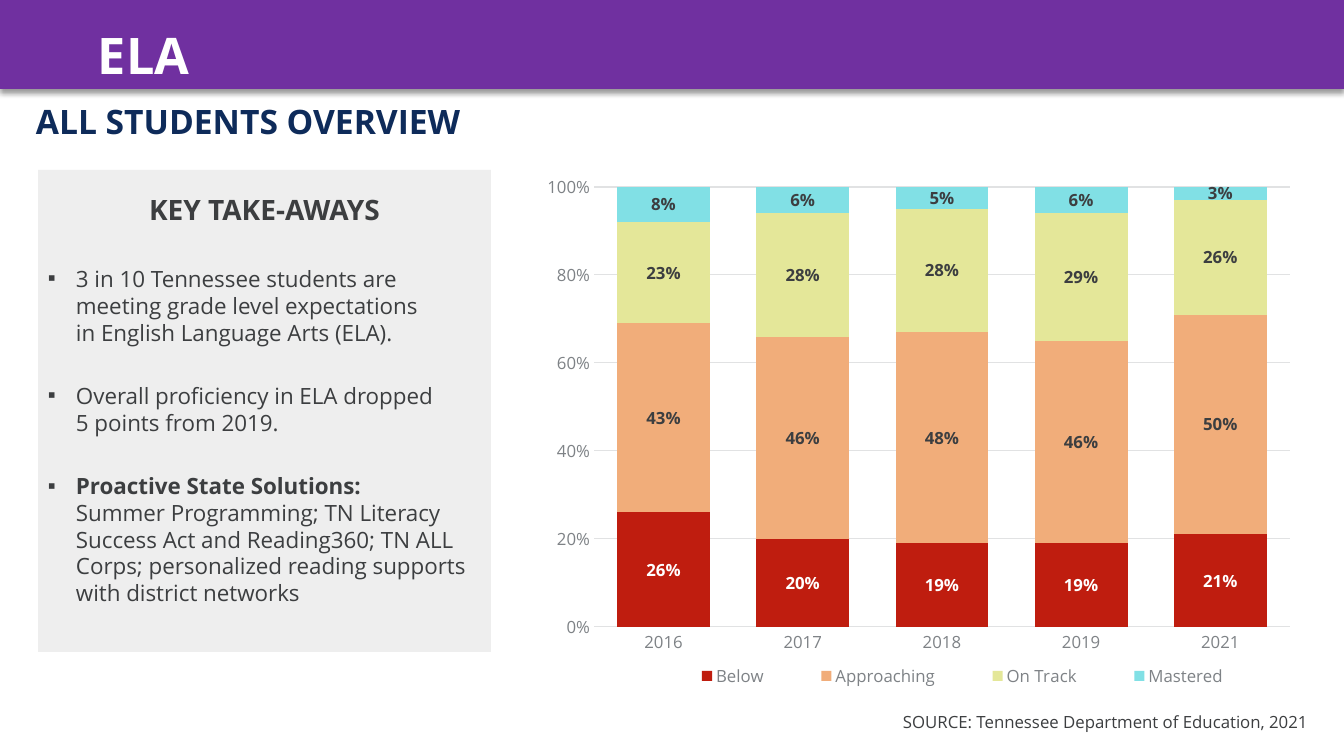
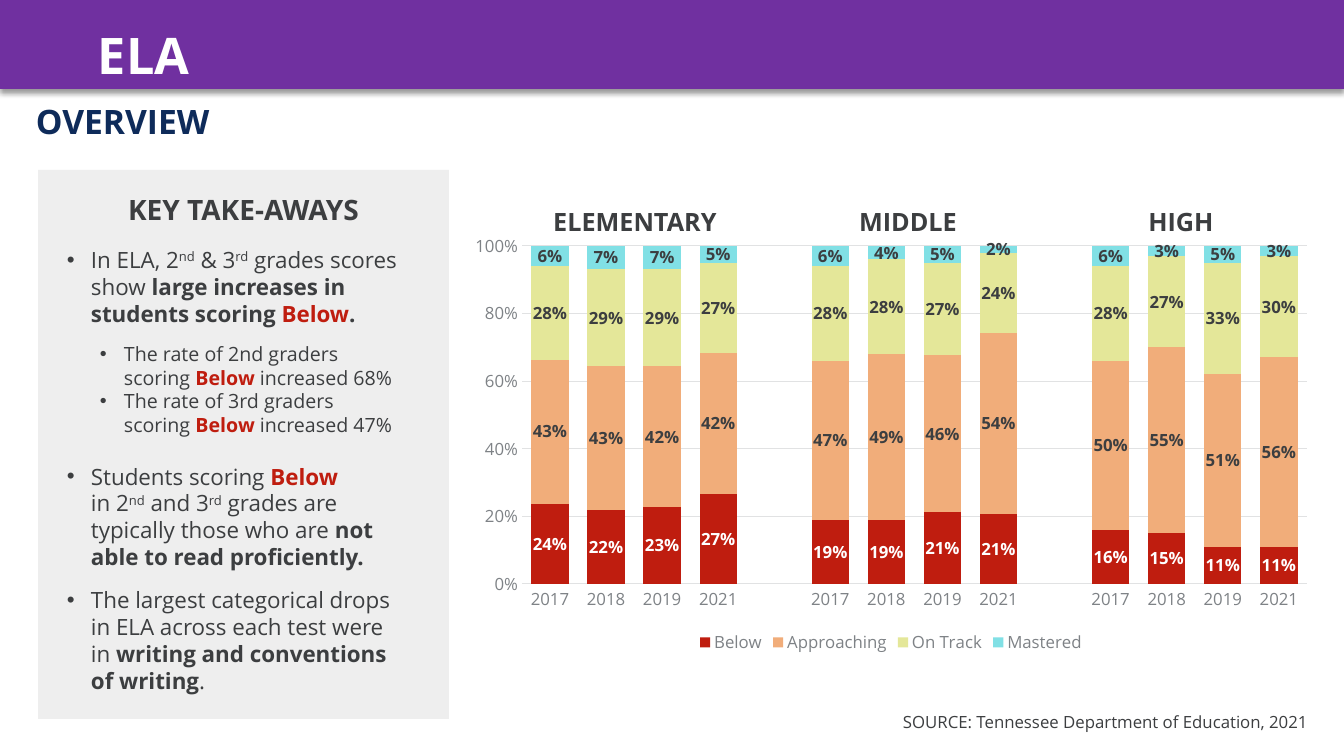
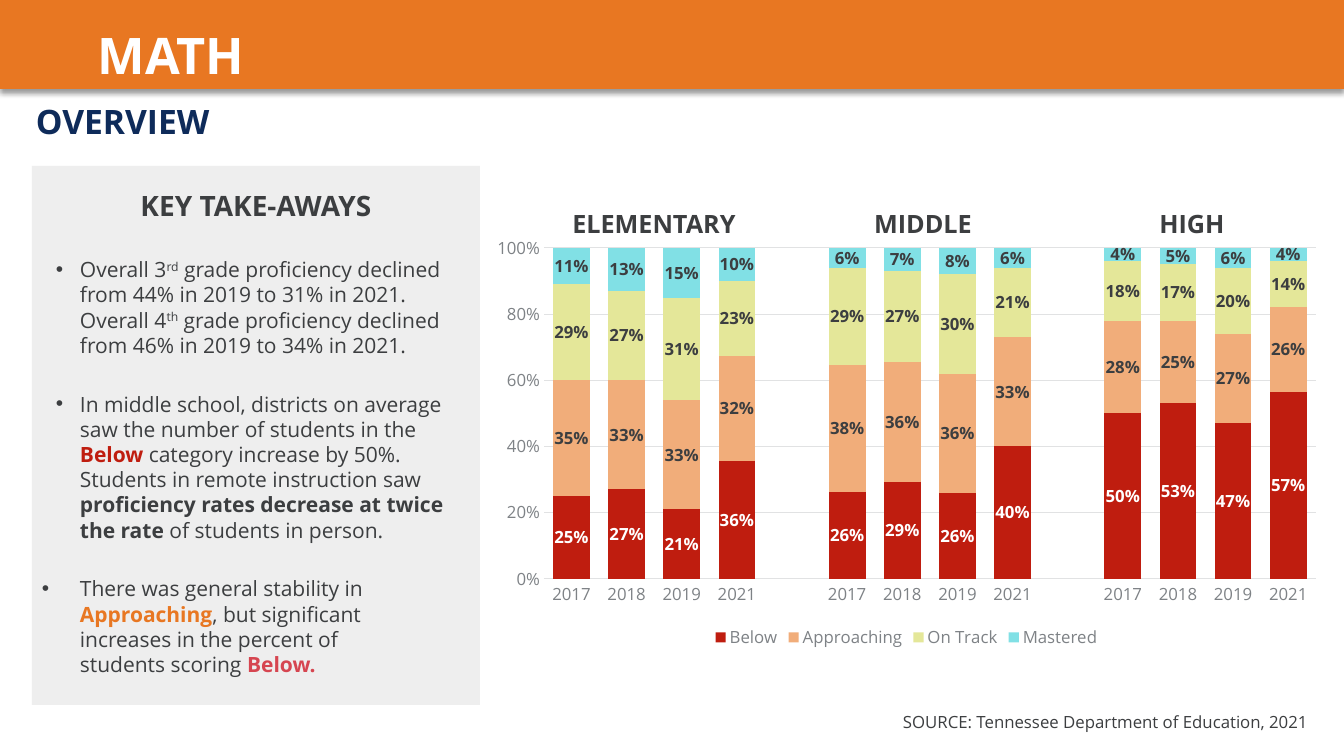
"""Builds three slides on state test results, each with take-aways and a stacked chart."""
from lxml import etree
from pptx import Presentation
from pptx.chart.data import CategoryChartData
from pptx.dml.color import RGBColor
from pptx.enum.chart import XL_CHART_TYPE, XL_LABEL_POSITION, XL_LEGEND_POSITION, XL_TICK_MARK
from pptx.enum.shapes import MSO_SHAPE
from pptx.enum.text import MSO_ANCHOR, PP_ALIGN
from pptx.oxml import parse_xml
from pptx.oxml.ns import nsdecls, qn
from pptx.util import Pt

STACKED = XL_CHART_TYPE.COLUMN_STACKED_100
MIDDLE = XL_LABEL_POSITION.CENTER
BOTTOM = XL_LEGEND_POSITION.BOTTOM
NO_TICK = XL_TICK_MARK.NONE
RECT = MSO_SHAPE.RECTANGLE
TOP = MSO_ANCHOR.TOP
LEFT, CENTER = PP_ALIGN.LEFT, PP_ALIGN.CENTER

PX = 914400 / 100.8
WIDE, HIGH = 1344, 756
FONT = "Open Sans"
HEAD_LINE, BODY_LINE = 1.275, 1.2
COLORS = {
    "ink": "3C3E40", "navy": "0E2B5A", "white": "FFFFFF", "panel": "EEEEEE",
    "gray": "7E8286", "grid": "E1E2E3", "purple": "7030A0", "orange": "E87722",
    "red": "BF1D0F", "rose": "D64550", "peach": "F1AD7A", "lime": "E4E799",
    "aqua": "81E0E5",
}
STYLES = {
    "plain": ("ink", False, 0), "bold": ("ink", True, 0), "sup": ("ink", False, 30000),
    "red": ("red", True, 0), "orange": ("orange", True, 0), "rose": ("rose", True, 0),
}
SERIES = [
    ("Below", "red", "white"), ("Approaching", "peach", "ink"),
    ("On Track", "lime", "ink"), ("Mastered", "aqua", "ink"),
]
SOURCE = "SOURCE: Tennessee Department of Education, 2021"
LEVELS = ["ELEMENTARY", "MIDDLE", "HIGH"]
YEARS = ["2017", "2018", "2019", "2021"]
SPLIT = YEARS + [""] + YEARS + [""] + YEARS

SQUARE = {"mark": "▪", "left": 28, "hang": 28, "size": 16}
DOT = {"mark": "•", "left": 38, "hang": 24, "size": 16}
SUB = {"mark": "•", "left": 71, "hang": 24, "size": 14}
SMALL = {"mark": "•", "left": 38, "hang": 24, "size": 15}
FAR = {"mark": "•", "left": 38, "hang": 38, "size": 15}

SLIDES = [
    {
        "title": "ELA", "band": "purple", "topic": "ALL STUDENTS OVERVIEW",
        "panel": (38, 170, 453, 482), "body": None,
        "points": [
            (SQUARE, 28, [("3 in 10 Tennessee students are meeting grade level expectations\n"
                           "in English Language Arts (ELA).", "plain")]),
            (SQUARE, 26, [("Overall proficiency in ELA dropped \n5 points from 2019.", "plain")]),
            (SQUARE, 26, [("Proactive State Solutions: \n", "bold"),
                          ("Summer Programming; TN Literacy Success Act and Reading360; "
                           "TN ALL Corps; personalized reading supports with district networks",
                           "plain")]),
        ],
        "chart": (532, 164, 773, 538), "plot": (594, 187, 696, 440),
        "legend": (650, 661, 625, 30), "heads": None,
        "years": ["2016", "2017", "2018", "2019", "2021"],
        "values": [
            [26, 20, 19, 19, 21], [43, 46, 48, 46, 50],
            [23, 28, 28, 29, 26], [8, 6, 5, 6, 3],
        ],
    },
    {
        "title": "ELA", "band": "purple", "topic": "OVERVIEW",
        "panel": (38, 170, 411, 549), "body": (43, 241, 406, 478),
        "points": [
            (DOT, 0, [("In ELA, 2", "plain"), ("nd", "sup"), (" & 3", "plain"), ("rd", "sup"),
                      (" grades scores show ", "plain"),
                      ("large increases in students scoring ", "bold"),
                      ("Below", "red"), (".", "bold")]),
            (SUB, 11, [("The rate of 2nd graders\nscoring ", "plain"), ("Below", "red"),
                       (" increased 68%", "plain")]),
            (SUB, 0, [("The rate of 3rd graders\nscoring ", "plain"), ("Below", "red"),
                      (" increased 47%", "plain")]),
            (DOT, 19, [("Students scoring ", "plain"), ("Below \n", "red"), ("in 2", "plain"),
                       ("nd", "sup"), (" and 3", "plain"), ("rd", "sup"),
                       (" grades are \ntypically those who are ", "plain"),
                       ("not \nable to read proficiently.", "bold")]),
            (DOT, 11.5, [("The largest categorical drops \nin ELA across each test were \nin ",
                          "plain"),
                         ("writing and conventions \nof writing", "bold"), (".", "plain")]),
        ],
        "chart": (458, 226, 866, 432), "plot": (522, 246, 785, 338),
        "legend": None, "heads": (535, 199, 273), "years": SPLIT,
        "values": [
            [24, 22, 23, 27, None, 19, 19, 21, 21, None, 16, 15, 11, 11],
            [43, 43, 42, 42, None, 47, 49, 46, 54, None, 50, 55, 51, 56],
            [28, 29, 29, 27, None, 28, 28, 27, 24, None, 28, 27, 33, 30],
            [6, 7, 7, 5, None, 6, 4, 5, 2, None, 6, 3, 5, 3],
        ],
    },
    {
        "title": "MATH", "band": "orange", "topic": "OVERVIEW",
        "panel": (32, 166, 448, 539), "body": None,
        "points": [
            (SMALL, 25, [("Overall 3", "plain"), ("rd", "sup"),
                         (" grade proficiency declined from 44% in 2019 to 31% in 2021. "
                          "Overall 4", "plain"), ("th", "sup"),
                         (" grade proficiency declined from 46% in 2019 to 34% in 2021.",
                          "plain")]),
            (SMALL, 24, [("In middle school, districts on average saw the number of students "
                          "in the ", "plain"), ("Below ", "red"),
                         ("category increase by 50%. Students in remote instruction saw ",
                          "plain"),
                         ("proficiency rates decrease at twice the rate ", "bold"),
                         ("of students in person.", "plain")]),
            (FAR, 24, [("There was general stability in ", "plain"), ("Approaching", "orange"),
                       (", but significant \nincreases in the percent of \nstudents scoring ",
                        "plain"), ("Below.", "rose")]),
        ],
        "chart": (480, 228, 853, 425), "plot": (544, 248, 772, 331),
        "legend": None, "heads": (554, 201, 269), "years": SPLIT,
        "values": [
            [25, 27, 21, 36, None, 26, 29, 26, 40, None, 50, 53, 47, 57],
            [35, 33, 33, 32, None, 38, 36, 36, 33, None, 28, 25, 27, 26],
            [29, 27, 31, 23, None, 29, 27, 30, 21, None, 18, 17, 20, 14],
            [11, 13, 15, 10, None, 6, 7, 8, 6, None, 4, 5, 6, 4],
        ],
    },
]


def emu(px):
    return round(px * PX)


def rgb(name):
    return RGBColor.from_string(COLORS[name])


def set_font(font, size, color, bold=False):
    font.name, font.size, font.bold = FONT, Pt(size), bold
    font.color.rgb = rgb(color)


def add_rect(slide, box, color):
    shape = slide.shapes.add_shape(RECT, *map(emu, box))
    shape.shadow.inherit = False
    shape.fill.solid()
    shape.fill.fore_color.rgb = rgb(color)
    shape.line.fill.background()
    return shape


def add_band(slide, color):
    band = add_rect(slide, (0, -1, WIDE, 90), color)
    glow = band._element.spPr.find(qn("a:effectLst"))
    glow.append(parse_xml(
        f'<a:outerShdw {nsdecls("a")} blurRad="{Pt(4)}" dist="{Pt(3)}" dir="5400000" '
        'algn="t" rotWithShape="0"><a:srgbClr val="000000"><a:alpha val="40000"/>'
        '</a:srgbClr></a:outerShdw>'))


def add_frame(slide, box):
    frame = slide.shapes.add_textbox(*map(emu, box)).text_frame
    frame.word_wrap = True
    return frame


def write_head(frame, text, size, color, bold=True, align=LEFT):
    para = frame.paragraphs[0]
    para.alignment = align
    para.line_spacing = Pt(size * HEAD_LINE)
    run = para.add_run()
    run.text = text
    set_font(run.font, size, color, bold)


def add_label(slide, box, *style, **more):
    write_head(add_frame(slide, box), *style, **more)


def add_mark(para, kind):
    props = para._p.get_or_add_pPr()
    props.set("marL", str(emu(kind["left"])))
    props.set("indent", str(-emu(kind["hang"])))
    tint = etree.SubElement(props, qn("a:buClr"))
    etree.SubElement(tint, qn("a:srgbClr"), val=COLORS["ink"])
    etree.SubElement(props, qn("a:buFont"), typeface="Arial")
    etree.SubElement(props, qn("a:buChar"), char=kind["mark"])


def write_point(para, kind, gap, runs):
    add_mark(para, kind)
    para.alignment = LEFT
    para.line_spacing = Pt(kind["size"] * BODY_LINE)
    if gap:
        para.space_before = Pt(gap)
    for text, style in runs:
        color, bold, base = STYLES[style]
        for row, part in enumerate(text.split("\n")):
            if row:
                para.add_line_break()
            if not part:
                continue
            run = para.add_run()
            run.text = part
            set_font(run.font, kind["size"], color, bold)
            if base:
                run._r.get_or_add_rPr().set("baseline", str(base))


def add_panel(slide, data):
    frame = add_rect(slide, data["panel"], "panel").text_frame
    frame.word_wrap, frame.vertical_anchor = True, TOP
    frame.margin_top = emu(20)
    write_head(frame, "KEY TAKE-AWAYS", 20, "ink", align=CENTER)
    body = add_frame(slide, data["body"]) if data["body"] else frame
    for order, point in enumerate(data["points"]):
        fresh = data["body"] and order == 0
        para = body.paragraphs[0] if fresh else body.add_paragraph()
        write_point(para, *point)


def make_layout(box, outer, inner=False):
    left, top, width, height = outer
    parts = {
        "x": (box[0] - left) / width, "y": (box[1] - top) / height,
        "w": box[2] / width, "h": box[3] / height,
    }
    target = '<c:layoutTarget val="inner"/>' if inner else ""
    modes = '<c:xMode val="edge"/><c:yMode val="edge"/>'
    sizes = "".join(f'<c:{key} val="{part:.4f}"/>' for key, part in parts.items())
    return parse_xml(f'<c:layout {nsdecls("c")}><c:manualLayout>{target}{modes}{sizes}'
                     '</c:manualLayout></c:layout>')


def drop_layout(node):
    for old in node.findall(qn("c:layout")):
        node.remove(old)


def style_axes(chart):
    for axis in (chart.category_axis, chart.value_axis):
        axis.major_tick_mark = axis.minor_tick_mark = NO_TICK
        set_font(axis.tick_labels.font, 12, "gray")
    value = chart.value_axis
    value.major_unit = 0.2
    value.tick_labels.number_format = "0%"
    value.tick_labels.number_format_is_linked = False
    value.format.line.fill.background()
    for line in (chart.category_axis.format.line, value.major_gridlines.format.line):
        line.color.rgb = rgb("grid")
        line.width = Pt(0.75)


def style_series(series, fill, ink):
    series.format.fill.solid()
    series.format.fill.fore_color.rgb = rgb(fill)
    labels = series.data_labels
    labels.show_value, labels.position = True, MIDDLE
    labels.number_format, labels.number_format_is_linked = "0%", False
    set_font(labels.font, 12, ink, True)


def add_chart(slide, data):
    table = CategoryChartData(number_format="0%")
    table.categories = data["years"]
    for (name, *_), row in zip(SERIES, data["values"]):
        table.add_series(name, [None if cell is None else cell / 100 for cell in row])
    outer = data["chart"]
    chart = slide.shapes.add_chart(STACKED, *map(emu, outer), table).chart
    chart.has_title = False
    set_font(chart.font, 10, "ink")
    style_axes(chart)
    plot = chart.plots[0]
    plot.gap_width, plot.overlap, plot.vary_by_categories = 50, 100, False
    for series, (_, fill, ink) in zip(plot.series, SERIES):
        style_series(series, fill, ink)
    chart.has_legend = True
    legend = chart.legend
    legend.position, legend.include_in_layout = BOTTOM, False
    set_font(legend.font, 12, "gray")
    area = chart._chartSpace.chart.plotArea
    drop_layout(area)
    area.insert(0, make_layout(data["plot"], outer, True))
    if data["legend"]:
        node = legend._element
        drop_layout(node)
        node.find(qn("c:legendPos")).addnext(make_layout(data["legend"], outer))


def add_heads(slide, left, top, step):
    for order, name in enumerate(LEVELS):
        add_label(slide, (left + order * step, top, 200, 40), name, 18, "ink", align=CENTER)


def add_slide(deck, data):
    slide = deck.slides.add_slide(deck.slide_layouts[6])
    add_panel(slide, data)
    add_band(slide, data["band"])
    add_label(slide, (26, 93, 715, 50), data["topic"], 24, "navy")
    add_label(slide, (88, 15, 357, 71), data["title"], 36, "white")
    add_label(slide, (893, 706, 430, 30), SOURCE, 12, "ink", bold=False)
    if data["heads"]:
        add_heads(slide, *data["heads"])
    add_chart(slide, data)


def main():
    deck = Presentation()
    deck.slide_width, deck.slide_height = emu(WIDE), emu(HIGH)
    for data in SLIDES:
        add_slide(deck, data)
    deck.save("out.pptx")


if __name__ == "__main__":
    main()
